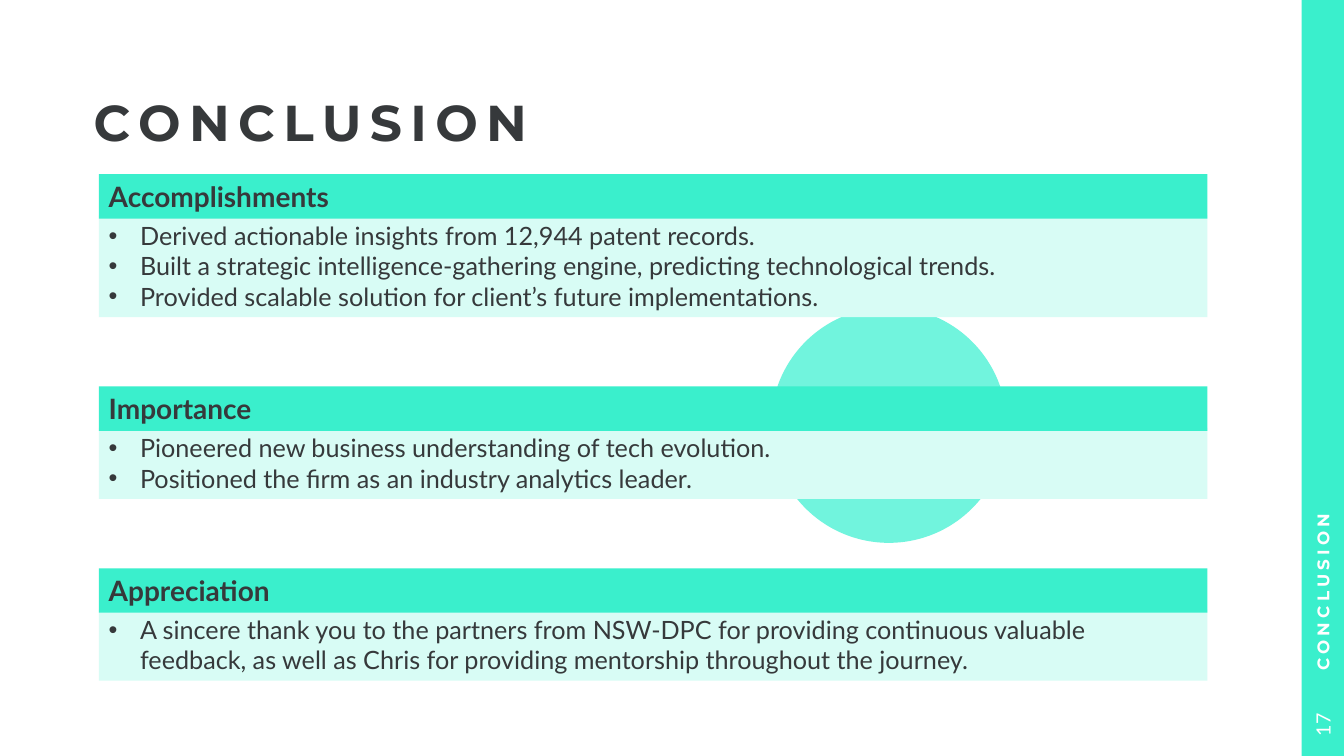
from lxml.etree import SubElement
from pptx import Presentation
from pptx.dml.color import RGBColor
from pptx.enum.shapes import MSO_SHAPE
from pptx.enum.text import MSO_ANCHOR, MSO_AUTO_SIZE, PP_ALIGN
from pptx.oxml.ns import qn
from pptx.util import Cm, Pt

COLOURS = {"ink": "36393B", "mint": "3AEFCC", "pale": "D8FCF5", "disc": "71F4DD", "white": "FFFFFF"}
HEADING, BODY = "Montserrat", "Lato"
SLIDE_WIDTH, SLIDE_HEIGHT, BAR_WIDTH = 33.87, 19.05, 1.07
PANEL_LEFT, PANEL_WIDTH, PANEL_TOP, PANEL_GAP = 2.49, 27.94, 4.39, 1.75
HEADER_HEIGHT, HEADER_STEP, LINE_HEIGHT, PADDING = 1.12, 1.04, 0.77, 0.25

PANELS = [
    ("Accomplishments", 3, [
        "Derived actionable insights from 12,944 patent records.",
        "Built a strategic intelligence-gathering engine, predicting technological trends.",
        "Provided scalable solution for client’s future implementations.",
    ]),
    ("Importance", 2, [
        "Pioneered new business understanding of tech evolution.",
        "Positioned the firm as an industry analytics leader.",
    ]),
    ("Appreciation", 2, [
        "A sincere thank you to the partners from NSW-DPC for providing continuous valuable "
        "feedback, as well as Chris for providing mentorship throughout the journey.",
    ]),
]


class Deck:
    """Holds the style and the current slide."""

    def __init__(self):
        self.presentation = Presentation()
        self.presentation.slide_width = Cm(SLIDE_WIDTH)
        self.presentation.slide_height = Cm(SLIDE_HEIGHT)
        self.slide = self.presentation.slides.add_slide(self.presentation.slide_layouts[5])

    def add_text(self, paragraph, text, size, font=BODY, colour="ink", bold=False, spacing=0):
        """Add one styled run to a paragraph."""
        run = paragraph.add_run()
        run.text = text
        run.font.size, run.font.name, run.font.bold = Pt(size), font, bold
        run.font.color.rgb = RGBColor.from_string(COLOURS[colour])
        if spacing:
            run._r.get_or_add_rPr().set("spc", str(spacing * 100))

    def title(self, text, left, top, width, height):
        """Place and fill the title placeholder."""
        title = self.slide.shapes.title
        title.left, title.top, title.width, title.height = map(Cm, (left, top, width, height))
        frame = title.text_frame
        frame.margin_left = frame.margin_right = frame.margin_top = frame.margin_bottom = 0
        frame.vertical_anchor, frame.auto_size = MSO_ANCHOR.TOP, MSO_AUTO_SIZE.NONE
        heading = frame.paragraphs[0]
        heading.alignment, heading.line_spacing = PP_ALIGN.LEFT, 0.9
        self.add_text(heading, text, 36, HEADING, bold=True, spacing=6)

    def block(self, kind, colour, left, top, width, height):
        """Draw a flat filled shape."""
        block = self.slide.shapes.add_shape(kind, *map(Cm, (left, top, width, height)))
        block.shadow.inherit = False
        block.fill.solid()
        block.fill.fore_color.rgb = RGBColor.from_string(COLOURS[colour])
        block.line.fill.background()
        return block

    def text_block(self, colour, top, height, lines, size, bold=False, bulleted=False):
        """Draw a panel rectangle with its lines of text."""
        block = self.block(MSO_SHAPE.RECTANGLE, colour, PANEL_LEFT, top, PANEL_WIDTH, height)
        frame = block.text_frame
        frame.word_wrap, frame.vertical_anchor = True, MSO_ANCHOR.TOP
        frame.auto_size = MSO_AUTO_SIZE.SHAPE_TO_FIT_TEXT
        for index, line in enumerate(lines):
            paragraph = frame.add_paragraph() if index else frame.paragraphs[0]
            paragraph.alignment = PP_ALIGN.LEFT
            if bulleted:
                properties = paragraph._p.get_or_add_pPr()
                properties.set("marL", str(Cm(0.79)))
                properties.set("indent", str(-Cm(0.79)))
                SubElement(properties, qn("a:buFont"), typeface="Arial")
                SubElement(properties, qn("a:buChar"), char="•")
            self.add_text(paragraph, line, size, bold=bold)

    def side_text(self, text, centre_y, length, size, align, inset=0.25, **style):
        """Set upward-reading text on the side bar."""
        left = SLIDE_WIDTH - BAR_WIDTH / 2 - length / 2
        label = self.slide.shapes.add_textbox(
            Cm(left), Cm(centre_y - BAR_WIDTH / 2), Cm(length), Cm(BAR_WIDTH))
        label.rotation = 270
        frame = label.text_frame
        frame.word_wrap, frame.vertical_anchor = True, MSO_ANCHOR.MIDDLE
        frame.margin_left = Cm(inset)
        frame.paragraphs[0].alignment = align
        self.add_text(frame.paragraphs[0], text, size, colour="white", **style)


def main():
    deck = Deck()
    deck.block(MSO_SHAPE.RECTANGLE, "mint", SLIDE_WIDTH - BAR_WIDTH, 0, BAR_WIDTH, SLIDE_HEIGHT)
    deck.block(MSO_SHAPE.OVAL, "disc", 19.43, 7.74, 5.94, 5.94)
    deck.title("CONCLUSION", 2.36, 2.46, 15.95, 2.72)
    deck.side_text("CONCLUSION", 8.74, 17.48, 12, PP_ALIGN.LEFT, 0.58,
                   font=HEADING, bold=True, spacing=3)
    deck.side_text("17", 18.26, 1.57, 14, PP_ALIGN.CENTER)
    top = PANEL_TOP
    for heading, line_count, points in PANELS:
        points_top = top + HEADER_STEP
        points_height = line_count * LINE_HEIGHT + PADDING
        deck.text_block("pale", points_top, points_height, points, 18, bulleted=True)
        deck.text_block("mint", top, HEADER_HEIGHT, [heading], 20, bold=True)
        top = points_top + points_height + PANEL_GAP
    deck.presentation.save("out.pptx")


if __name__ == "__main__":
    main()
